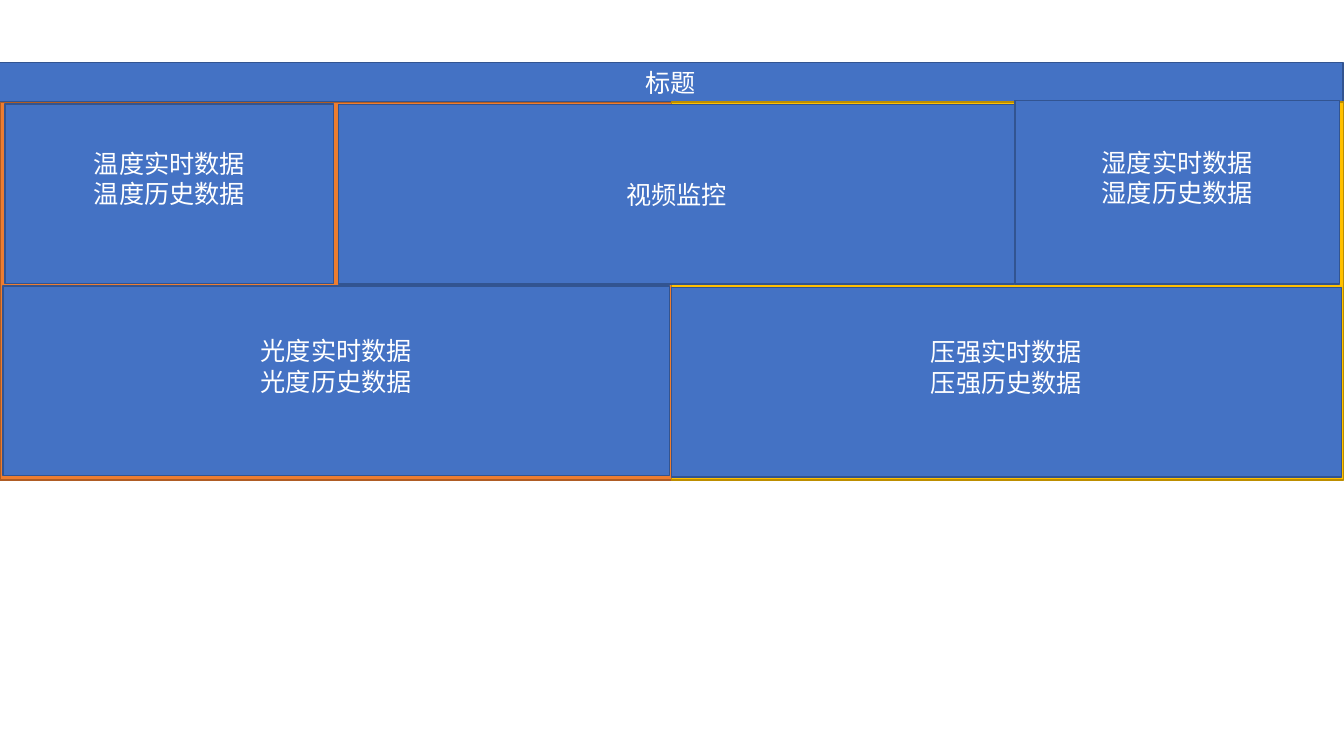
import pptx
import pptx.util
import pptx.dml.color
import pptx.enum.shapes
import pptx.enum.text
import lxml.etree

Cm, Pt = pptx.util.Cm, pptx.util.Pt
FONT = "Noto Sans CJK SC"
COLORS = {
    "blue": "4472C4", "navy": "325491",
    "orange": "ED7D31", "rust": "AF5C24",
    "gold": "FFC000", "ochre": "BD8E00",
    "white": "FFFFFF",
}

# Content, back to front: text lines, fill, line, (left, top, width, height) in cm
PANELS = [
    ([], "orange", "rust", (0, 2.57, 16.93, 9.53)),
    (["标题"], "blue", "navy", (-0.03, 1.57, 33.88, 0.99)),
    ([], "gold", "ochre", (16.93, 2.57, 16.93, 9.53)),
    (["视频监控"], "blue", "navy", (8.53, 2.64, 17.04, 4.52)),
    (["温度实时数据", "温度历史数据"], "blue", "navy", (0.13, 2.62, 8.28, 4.52)),
    (["湿度实时数据", "湿度历史数据"], "blue", "navy", (25.58, 2.54, 8.18, 4.62)),
    (["压强实时数据", "压强历史数据"], "blue", "navy", (16.92, 7.24, 16.89, 4.78)),
    (["光度实时数据", "光度历史数据"], "blue", "navy", (0.08, 7.21, 16.79, 4.78)),
]
PAD, LIFT = 0.13, 0.77  # inset, and extra bottom inset that raises paired lines


def tint(name):
    return pptx.dml.color.RGBColor.from_string(COLORS[name])


def write(shape, lines):
    frame = shape.text_frame
    frame.word_wrap = True
    frame.vertical_anchor = pptx.enum.text.MSO_ANCHOR.MIDDLE
    frame.margin_top = Cm(PAD)
    frame.margin_bottom = Cm(PAD + LIFT * (len(lines) - 1))
    frame.text = "\n".join(lines)
    for para in frame.paragraphs:
        para.alignment = pptx.enum.text.PP_ALIGN.CENTER
        para.line_spacing = Pt(21.8)
        for run in para.runs:
            run.font.size = Pt(18)
            run.font.name = FONT
            run.font.color.rgb = tint("white")
            # East Asian typeface
            tag = pptx.oxml.ns.qn("a:ea")
            lxml.etree.SubElement(run.font._element, tag).set("typeface", FONT)


def draw(slide, lines, fill, edge, place):
    rect = pptx.enum.shapes.MSO_SHAPE.RECTANGLE
    shape = slide.shapes.add_shape(rect, *map(Cm, place))
    shape.shadow.inherit = False
    shape.fill.solid()
    shape.fill.fore_color.rgb = tint(fill)
    shape.line.color.rgb = tint(edge)
    shape.line.width = Pt(1)
    if lines:
        write(shape, lines)


def main():
    deck = pptx.Presentation()
    deck.slide_width, deck.slide_height = Cm(33.87), Cm(19.05)
    slide = deck.slides.add_slide(deck.slide_layouts[6])
    for panel in PANELS:
        draw(slide, *panel)
    deck.save("out.pptx")


if __name__ == "__main__":
    main()
